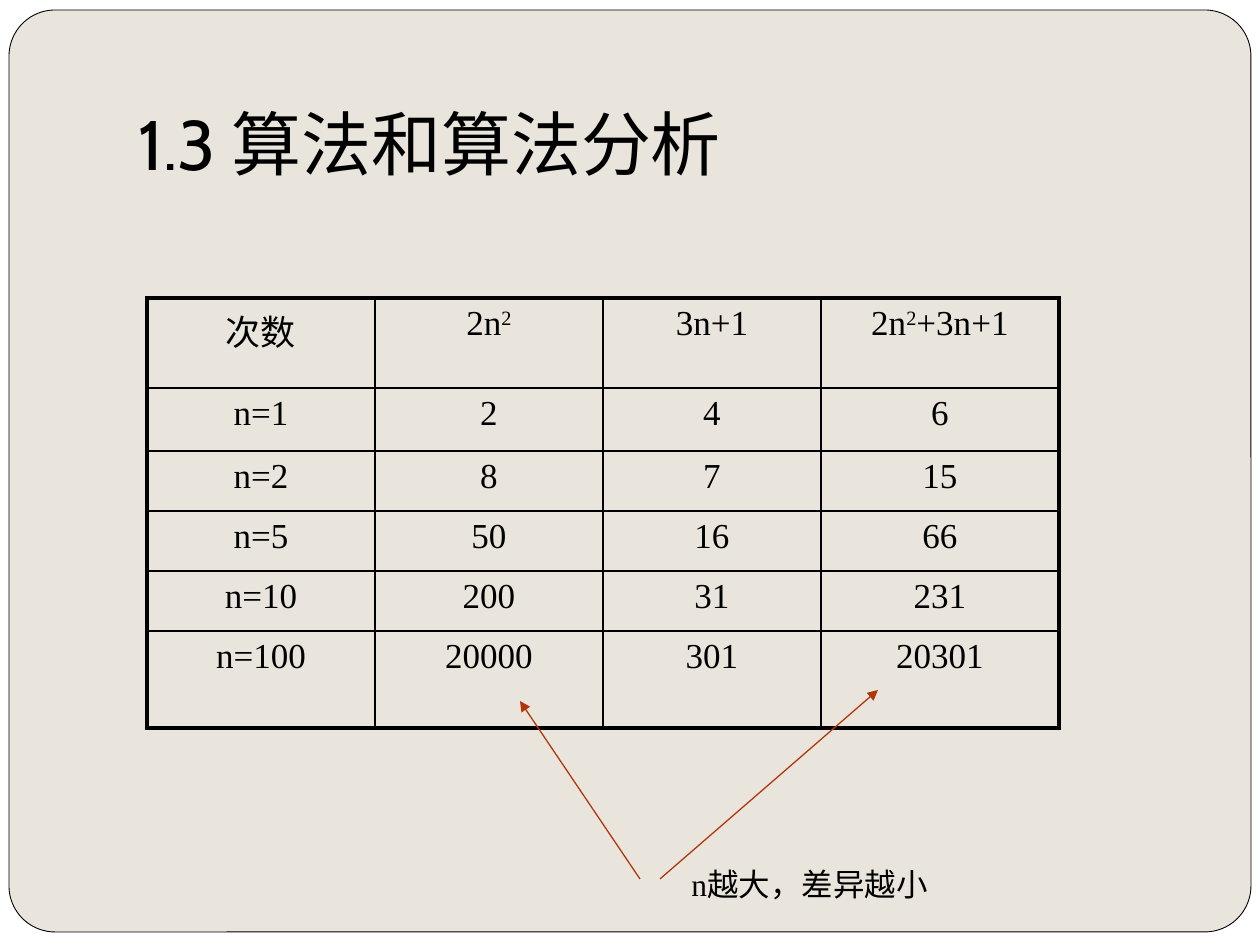
"""Build the slide comparing operation counts of an algorithm for growing n."""
import lxml.etree
import pptx
import pptx.dml.color
import pptx.enum.shapes
import pptx.enum.text
import pptx.oxml.ns
import pptx.util

TITLE = "1.3 算法和算法分析"
NOTE = "n越大，差异越小"
ROWS = [
    ("次数", "2n^2^", "3n+1", "2n^2^+3n+1"),
    ("n=1", "2", "4", "6"),
    ("n=2", "8", "7", "15"),
    ("n=5", "50", "16", "66"),
    ("n=10", "200", "31", "231"),
    ("n=100", "20000", "301", "20301"),
]
COLUMN_WIDTHS = (228, 228, 218, 238)
ROW_HEIGHTS = (90, 63, 60, 60, 60, 97)
TABLE_ORIGIN = (147, 298)
ARROWS = [((640, 879), (520, 701)), ((660, 879), (878, 690))]
BACKDROPS = [
    ("RECTANGLE", (0, 0, 1260, 945), "FFFFFF", None),
    ("ROUNDED_RECTANGLE", (9, 10, 1242, 922), "E9E5DC", "000000"),
]
BLACK, RUST = "000000", "B1360B"
SERIF = "Times New Roman"
THIN, THICK = 1, 2.25
PX_PER_INCH = 126


def px(*lengths):
    return [pptx.util.Emu(round(length * 914400 / PX_PER_INCH)) for length in lengths]


def color(value):
    return pptx.dml.color.RGBColor.from_string(value)


def set_all(target, values):
    for name, value in values.items():
        setattr(target, name, value)


def write(paragraph, text, size, font_name):
    for index, part in enumerate(text.split("^")):
        if not part:
            continue
        run = paragraph.add_run()
        run.text = part
        set_all(run.font, {"size": pptx.util.Pt(size), "name": font_name})
        run.font.color.rgb = color(BLACK)
        if index % 2:
            run._r.get_or_add_rPr().set("baseline", "30000")


def add_text(slide, box, text, size, font_name, frame_format):
    frame = slide.shapes.add_textbox(*px(*box)).text_frame
    set_all(frame, frame_format)
    write(frame.paragraphs[0], text, size, font_name)


def add_child(parent, tag, **attributes):
    return lxml.etree.SubElement(parent, pptx.oxml.ns.qn(tag), attributes)


def set_borders(cell, widths):
    properties = cell._tc.get_or_add_tcPr()
    for side, width in widths.items():
        border = add_child(properties, f"a:ln{side}", w=str(pptx.util.Pt(width)))
        add_child(add_child(border, "a:solidFill"), "a:srgbClr", val=BLACK)


def add_backdrop(slide, kind, box, fill, line):
    preset = getattr(pptx.enum.shapes.MSO_SHAPE, kind)
    shape = slide.shapes.add_shape(preset, *px(*box))
    shape.shadow.inherit = False
    shape.fill.solid()
    shape.fill.fore_color.rgb = color(fill)
    if line:
        shape.adjustments[0] = 0.05
        shape.line.color.rgb = color(line)
        shape.line.width = pptx.util.Pt(0.5)
    else:
        shape.line.fill.background()


def add_count_table(slide):
    last_row, last_column = len(ROWS) - 1, len(COLUMN_WIDTHS) - 1
    size = (sum(COLUMN_WIDTHS), sum(ROW_HEIGHTS))
    table = slide.shapes.add_table(
        len(ROWS), len(COLUMN_WIDTHS), *px(*TABLE_ORIGIN, *size)).table
    set_all(table, {"first_row": False, "horz_banding": False})
    for column, width in zip(table.columns, px(*COLUMN_WIDTHS)):
        column.width = width
    for row, height in zip(table.rows, px(*ROW_HEIGHTS)):
        row.height = height
    for r, texts in enumerate(ROWS):
        for c, text in enumerate(texts):
            cell = table.cell(r, c)
            edges = {"L": c == 0, "R": c == last_column,
                     "T": r == 0, "B": r == last_row}
            set_borders(cell, {side: THICK if outer else THIN
                               for side, outer in edges.items()})
            cell.fill.background()
            paragraph = cell.text_frame.paragraphs[0]
            paragraph.alignment = pptx.enum.text.PP_ALIGN.CENTER
            write(paragraph, text, 20, SERIF)


def add_arrow(slide, start, end):
    connector = slide.shapes.add_connector(
        pptx.enum.shapes.MSO_CONNECTOR.STRAIGHT, *px(*start, *end))
    connector.line.color.rgb = color(RUST)
    connector.line.width = pptx.util.Pt(0.75)
    add_child(connector.line._get_or_add_ln(), "a:tailEnd", type="triangle")
    add_child(connector._element.spPr, "a:effectLst")


def main():
    presentation = pptx.Presentation()
    width, height = px(1260, 945)
    set_all(presentation, {"slide_width": width, "slide_height": height})
    slide = presentation.slides.add_slide(presentation.slide_layouts[6])
    for backdrop in BACKDROPS:
        add_backdrop(slide, *backdrop)
    add_text(slide, (126, 39, 1071, 158), TITLE, 40, "Cabin", {
        "word_wrap": True,
        "vertical_anchor": pptx.enum.text.MSO_ANCHOR.BOTTOM,
        "margin_bottom": pptx.util.Inches(0.1),
    })
    add_count_table(slide)
    for start, end in ARROWS:
        add_arrow(slide, start, end)
    add_text(slide, (679, 859, 304, 50), NOTE, 18, SERIF, {
        "word_wrap": True,
        "auto_size": pptx.enum.text.MSO_AUTO_SIZE.SHAPE_TO_FIT_TEXT,
    })
    presentation.save("out.pptx")


if __name__ == "__main__":
    main()
